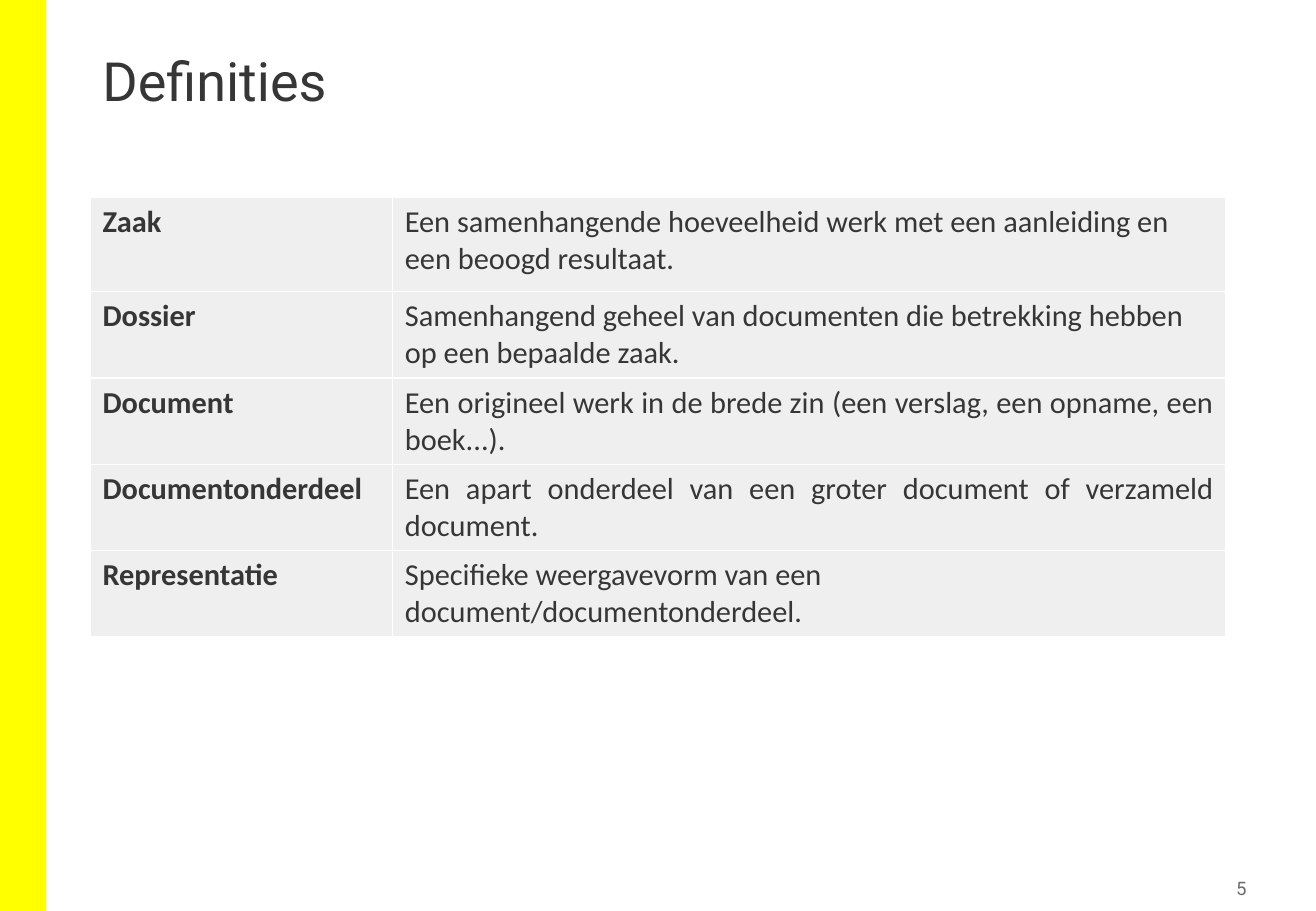
from dataclasses import dataclass

from lxml import etree
from pptx import Presentation
from pptx.dml.color import RGBColor
from pptx.enum.shapes import MSO_SHAPE
from pptx.enum.text import MSO_ANCHOR, PP_ALIGN
from pptx.oxml.ns import qn
from pptx.util import Cm, Pt

RECTANGLE = MSO_SHAPE.RECTANGLE
TOP, MIDDLE = MSO_ANCHOR.TOP, MSO_ANCHOR.MIDDLE
LEFT, RIGHT, JUSTIFY = PP_ALIGN.LEFT, PP_ALIGN.RIGHT, PP_ALIGN.JUSTIFY


@dataclass(frozen=True)
class Theme:
    """Colours, fonts and type sizes of the slide."""

    accent: str = "FFFF00"
    ink: str = "373636"
    muted: str = "6B6B6B"
    cell: str = "EFEFEF"
    border: str = "FFFFFF"
    heading_font: str = "Roboto"
    body_font: str = "Calibri"
    title_size: int = 32
    body_size: int = 18
    number_size: int = 11


class SlideBuilder:
    """Draws styled elements on one slide."""

    def __init__(self, slide, theme):
        """Keep the slide and its theme."""
        self.slide = slide
        self.theme = theme

    def add_run(self, paragraph, text, font, size, colour, bold=False):
        """Add one styled run to a paragraph."""
        run = paragraph.add_run()
        run.text = text
        run.font.name = font
        run.font.size = Pt(size)
        run.font.bold = bold
        run.font.color.rgb = RGBColor.from_string(colour)

    def add_bar(self, left, top, width, height):
        """Add a plain accent rectangle."""
        bar = self.slide.shapes.add_shape(RECTANGLE, left, top, width, height)
        bar.shadow.inherit = False
        bar.fill.solid()
        bar.fill.fore_color.rgb = RGBColor.from_string(self.theme.accent)
        bar.line.fill.background()

    def add_text(self, box, text, size, colour, alignment=LEFT, anchor=TOP,
                 side_inset=Cm(0.25), line_spacing=1.0):
        """Add a text box in the heading font."""
        frame = self.slide.shapes.add_textbox(*box).text_frame
        frame.word_wrap = True
        frame.vertical_anchor = anchor
        frame.margin_left = frame.margin_right = side_inset
        frame.margin_top = frame.margin_bottom = Cm(0.13)
        paragraph = frame.paragraphs[0]
        paragraph.alignment = alignment
        paragraph.line_spacing = line_spacing
        self.add_run(paragraph, text, self.theme.heading_font, size, colour)

    def style_cell(self, cell):
        """Give a cell its borders and fill."""
        properties = cell._tc.get_or_add_tcPr()
        for side in ("a:lnL", "a:lnR", "a:lnT", "a:lnB"):
            line = etree.SubElement(properties, qn(side), w=str(Pt(1)))
            fill = etree.SubElement(line, qn("a:solidFill"))
            etree.SubElement(fill, qn("a:srgbClr"), val=self.theme.border)
        cell.fill.solid()
        cell.fill.fore_color.rgb = RGBColor.from_string(self.theme.cell)

    def add_definitions(self, left, top, widths, heights, definitions):
        """Add a two-column table of terms and meanings."""
        table = self.slide.shapes.add_table(
            len(definitions), len(widths), left, top, sum(widths), sum(heights)
        ).table
        table.first_row = table.horz_banding = False
        for column, width in zip(table.columns, widths):
            column.width = width
        for row, height, (term, meaning, alignment) in zip(table.rows, heights, definitions):
            row.height = height
            entries = ((term, LEFT, True), (meaning, alignment, False))
            for cell, (text, cell_alignment, bold) in zip(row.cells, entries):
                self.style_cell(cell)
                paragraph = cell.text_frame.paragraphs[0]
                paragraph.alignment = cell_alignment
                self.add_run(paragraph, text, self.theme.body_font,
                             self.theme.body_size, self.theme.ink, bold)


DEFINITIONS = (
    ("Zaak", "Een samenhangende hoeveelheid werk met een aanleiding en een beoogd resultaat.", LEFT),
    ("Dossier", "Samenhangend geheel van documenten die betrekking hebben op een bepaalde zaak.", LEFT),
    ("Document", "Een origineel werk in de brede zin (een verslag, een opname, een boek...).", JUSTIFY),
    ("Documentonderdeel", "Een apart onderdeel van een groter document of verzameld document.", JUSTIFY),
    ("Representatie", "Specifieke weergavevorm van een document/documentonderdeel.", LEFT),
)


def main():
    """Build and save the definitions slide."""
    presentation = Presentation()
    presentation.slide_width = Cm(27.51)
    presentation.slide_height = Cm(19.05)
    slide = presentation.slides.add_slide(presentation.slide_layouts[6])
    theme = Theme()
    builder = SlideBuilder(slide, theme)
    margin = Cm(1.89)

    builder.add_bar(0, 0, Cm(0.97), presentation.slide_height)
    builder.add_definitions(margin, Cm(4.12), (Cm(6.32), Cm(17.42)),
                            (Cm(1.98),) + (Cm(1.8),) * 4, DEFINITIONS)
    builder.add_text((margin, Cm(1.02), Cm(23.72), Cm(2.74)), "Definities",
                     theme.title_size, theme.ink, line_spacing=0.9)
    builder.add_text((Cm(24.13), Cm(18.21), Cm(2.06), Cm(0.74)), "5",
                     theme.number_size, theme.muted, RIGHT, MIDDLE, Cm(0.13))
    presentation.save("out.pptx")


if __name__ == "__main__":
    main()
